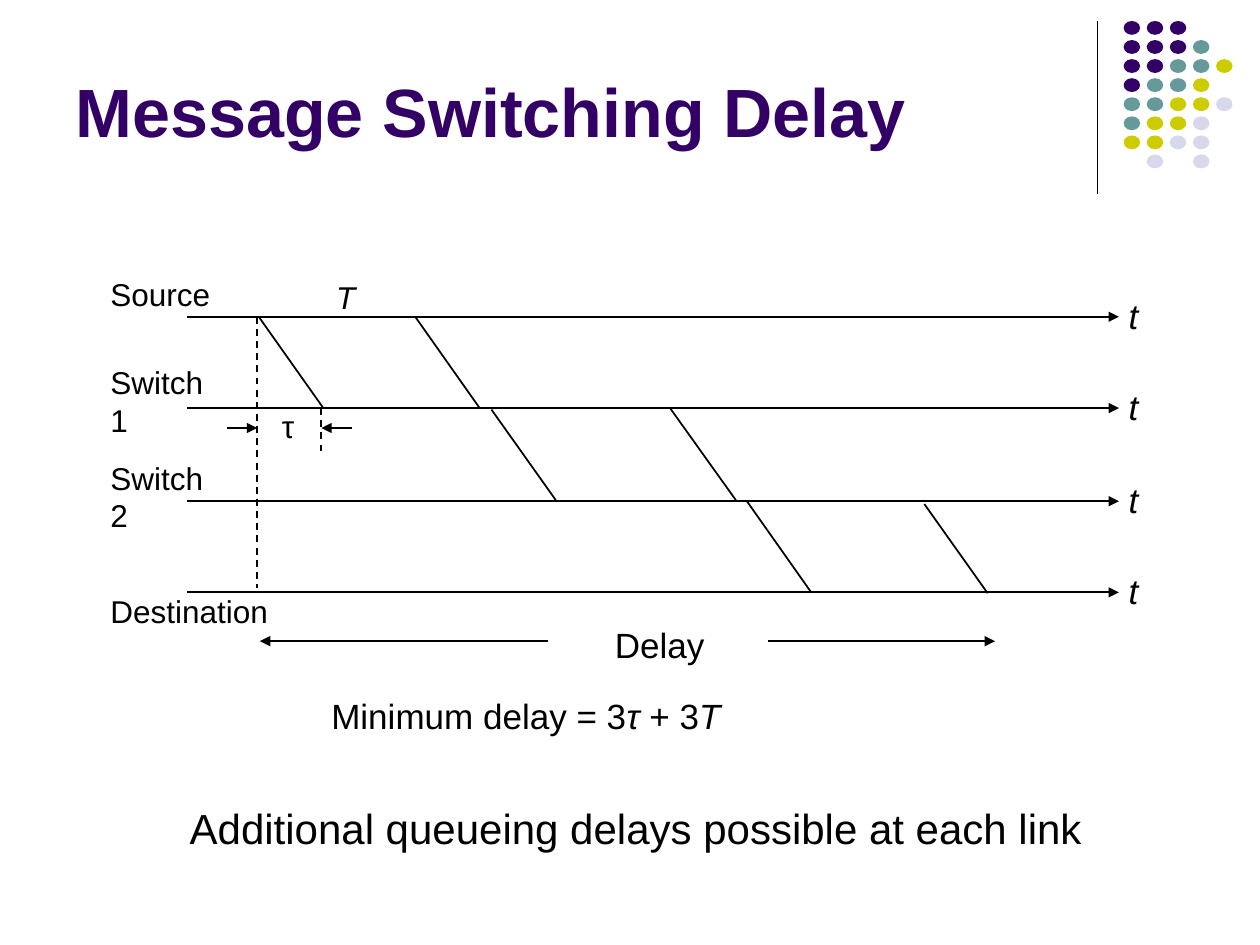
from dataclasses import dataclass

from lxml import etree
from pptx import Presentation
from pptx.dml.color import RGBColor
from pptx.enum.dml import MSO_LINE
from pptx.enum.shapes import MSO_CONNECTOR, MSO_SHAPE
from pptx.enum.text import MSO_ANCHOR, MSO_AUTO_SIZE, PP_ALIGN
from pptx.oxml.ns import qn
from pptx.slide import Slide
from pptx.util import Pt

STRAIGHT = MSO_CONNECTOR.STRAIGHT
ELLIPSE = MSO_SHAPE.OVAL
DASH = MSO_LINE.DASH
LEFT = PP_ALIGN.LEFT
BOTTOM = MSO_ANCHOR.BOTTOM
NO_RESIZE = MSO_AUTO_SIZE.NONE
FIT_SHAPE = MSO_AUTO_SIZE.SHAPE_TO_FIT_TEXT

FONT = "Arial"
BLACK = "000000"
PURPLE = "330066"
DOT_COLORS = {"P": PURPLE, "T": "669999", "Y": "CCCC00", "L": "D8D8EC"}
DOT_ROWS = ["PPP", "PPPT", "PPTTY", "PTTY", "TTYYL", "TYYL", "YYLL", " L L"]

TIMELINE_LEFT, TIMELINE_RIGHT = 107, 639.4
TIMELINES = [181, 233.2, 286.4, 338.5]


@dataclass
class Line:
    x1: float
    y1: float
    x2: float
    y2: float
    width: float = 1
    arrow: bool = False
    dashed: bool = False


@dataclass
class Label:
    left: float
    top: float
    width: float
    height: float
    size: float
    runs: list[tuple[str, bool]]  # text, italic


def color(value: str) -> RGBColor:
    return RGBColor.from_string(value)


def draw_line(slide: Slide, line: Line) -> None:
    connector = slide.shapes.add_connector(
        STRAIGHT, Pt(line.x1), Pt(line.y1), Pt(line.x2), Pt(line.y2))
    connector.line.color.rgb = color(BLACK)
    connector.line.width = Pt(line.width)
    if line.dashed:
        connector.line.dash_style = DASH
    if line.arrow:
        outline = connector.line._get_or_add_ln()
        etree.SubElement(outline, qn("a:tailEnd"), type="triangle")
    etree.SubElement(connector._element.spPr, qn("a:effectLst"))


def add_run(paragraph, text: str, size: float, fill: str = BLACK,
            bold: bool = False, italic: bool = False) -> None:
    run = paragraph.add_run()
    run.text = text
    run.font.name = FONT
    run.font.size = Pt(size)
    run.font.bold = bold
    run.font.italic = italic
    run.font.color.rgb = color(fill)


def draw_label(slide: Slide, label: Label) -> None:
    box = slide.shapes.add_textbox(
        Pt(label.left), Pt(label.top), Pt(label.width), Pt(label.height))
    frame = box.text_frame
    frame.word_wrap = False
    frame.auto_size = FIT_SHAPE
    paragraph = frame.paragraphs[0]
    paragraph.alignment = LEFT
    for text, italic in label.runs:
        add_run(paragraph, text, label.size, italic=italic)


def draw_dots(slide: Slide) -> None:
    for row, codes in enumerate(DOT_ROWS):
        for column, code in enumerate(codes):
            if code == " ":
                continue
            dot = slide.shapes.add_shape(
                ELLIPSE, Pt(642.1 + 13.2 * column), Pt(12 + 10.9 * row), Pt(9.4), Pt(7.9))
            dot.shadow.inherit = False
            dot.fill.solid()
            dot.fill.fore_color.rgb = color(DOT_COLORS[code])
            dot.line.fill.background()


def draw_title(slide: Slide) -> None:
    title = slide.shapes.title
    title.left, title.top, title.width, title.height = Pt(36), Pt(9.4), Pt(594), Pt(80.6)
    frame = title.text_frame
    frame.auto_size = NO_RESIZE
    frame.vertical_anchor = BOTTOM
    paragraph = frame.paragraphs[0]
    paragraph.alignment = LEFT
    add_run(paragraph, "Message Switching Delay", 39, PURPLE, bold=True)


# Start and end of each message on each link
MESSAGE_EDGES = [
    Line(148.2, 181.5, 184.5, 232.8),
    Line(237.6, 181.5, 273.8, 232.8),
    Line(280.8, 234, 317.6, 285.8),
    Line(382.6, 232.8, 420.5, 285.8),
    Line(426.8, 286.4, 463.2, 338),
    Line(528.2, 288, 564.4, 339),
]

# Propagation time and total delay markers
MARKERS = [
    Line(147, 181, 147, 335.8, dashed=True),
    Line(183.6, 233.2, 183.6, 260.8, dashed=True),
    Line(129.8, 244.6, 147, 244.6, width=0.75, arrow=True),
    Line(201, 244.6, 183.6, 244.6, width=0.75, arrow=True),
    Line(313.2, 366.4, 148.5, 366.4, arrow=True),
    Line(439, 366.4, 568.6, 366.4, arrow=True),
]

LABELS = [
    Label(56, 153.4, 71.3, 29, 18, [("Source", False)]),
    Label(56, 204, 82, 29, 18, [("Switch 1", False)]),
    Label(56, 258.5, 82, 29, 18, [("Switch 2", False)]),
    Label(56, 335, 104.4, 29, 18, [("Destination", False)]),
    Label(185, 155.6, 25.2, 29, 18, [("T", True)]),
    Label(154, 229, 22.3, 29, 18, [("τ", False)]),
    Label(344.2, 352.8, 65.5, 31, 20, [("Delay", False)]),
    Label(182.2, 393.2, 238.3, 31, 20,
          [("Minimum delay = 3", False), ("τ", True), (" + 3", False), ("T", True)]),
    Label(101.3, 455, 524.2, 36, 24,
          [("Additional queueing delays possible at each link", False)]),
]


def main() -> None:
    presentation = Presentation()
    presentation.slide_width, presentation.slide_height = Pt(720), Pt(540)
    slide = presentation.slides.add_slide(presentation.slide_layouts[5])

    # Title and corner decoration
    draw_title(slide)
    draw_line(slide, Line(627.1, 12, 627.1, 111, width=0.75))
    draw_dots(slide)

    # Time axes
    for y in TIMELINES:
        draw_line(slide, Line(TIMELINE_LEFT, y, TIMELINE_RIGHT, y, arrow=True))
        draw_label(slide, Label(637.9, y - 16.4, 20.2, 31, 20, [("t", True)]))

    # Messages, markers and labels
    for line in MESSAGE_EDGES + MARKERS:
        draw_line(slide, line)
    for label in LABELS:
        draw_label(slide, label)

    presentation.save("out.pptx")


if __name__ == "__main__":
    main()
